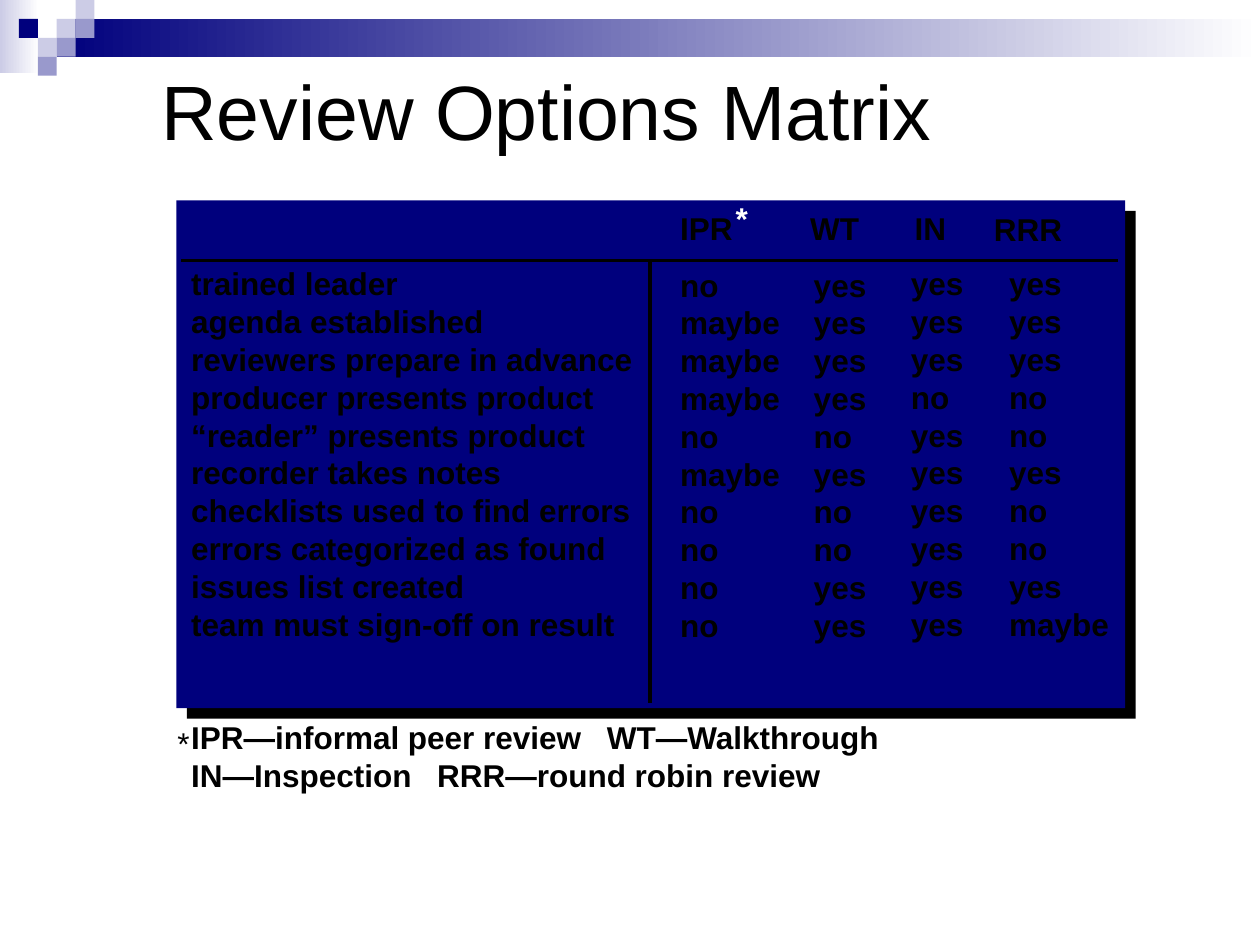
from dataclasses import dataclass

from lxml import etree
from pptx import Presentation
from pptx.dml.color import RGBColor
from pptx.enum.shapes import MSO_CONNECTOR, MSO_SHAPE
from pptx.enum.text import MSO_ANCHOR, MSO_AUTO_SIZE, PP_ALIGN
from pptx.oxml.ns import qn
from pptx.slide import Slide
from pptx.util import Pt

RECTANGLE = MSO_SHAPE.RECTANGLE
STRAIGHT = MSO_CONNECTOR.STRAIGHT
MIDDLE = MSO_ANCHOR.MIDDLE
LEFT = PP_ALIGN.LEFT
FIT_SHAPE = MSO_AUTO_SIZE.SHAPE_TO_FIT_TEXT

BLACK = RGBColor(0x00, 0x00, 0x00)
WHITE = RGBColor(0xFF, 0xFF, 0xFF)
NAVY = RGBColor(0x00, 0x00, 0x7D)
LAVENDER = RGBColor(0xCC, 0xCC, 0xE6)
PERIWINKLE = RGBColor(0x99, 0x99, 0xCC)

GRID = 10.8
LINE_PITCH = 21.6

CRITERIA = [
    "trained leader",
    "agenda established",
    "reviewers prepare in advance",
    "producer presents product",
    "“reader” presents product",
    "recorder takes notes",
    "checklists used to find errors",
    "errors categorized as found",
    "issues list created",
    "team must sign-off on result",
]
LEGEND = [
    ("IPR—informal peer review\tWT—Walkthrough", 237.6),
    ("IN—Inspection\tRRR—round robin review", 140.6),
]
REVIEWS = [
    ("IPR", (381.6, 115.9, 44.6), (381.6, 148.3, 71.3),
     "no maybe maybe maybe no maybe no no no no"),
    ("WT", (455.8, 115.9, 42.5), (457.9, 148.3, 44.6),
     "yes yes yes yes no yes no no yes yes"),
    ("IN", (515.5, 115.9, 32.4), (513.4, 147.6, 44.6),
     "yes yes yes no yes yes yes yes yes yes"),
    ("RRR", (560.9, 116.6, 53.3), (569.5, 147.6, 71.3),
     "yes yes yes no no yes no no yes maybe"),
]
SQUARES = [
    (3, 1, LAVENDER), (4, 0, LAVENDER), (4, 1, PERIWINKLE), (2, 2, LAVENDER),
    (1, 1, NAVY), (3, 2, PERIWINKLE), (2, 3, PERIWINKLE),
]


@dataclass
class MatrixSlide:
    slide: Slide
    font: str = "Arial"
    size: float = 18

    def add_run(self, paragraph, wording, size, color, bold):
        run = paragraph.add_run()
        run.text = wording
        run.font.name = self.font
        run.font.size = Pt(size)
        run.font.bold = bold
        run.font.color.rgb = color

    def title(self, wording, left, top, width, height):
        heading = self.slide.shapes.title
        heading.left, heading.top = Pt(left), Pt(top)
        heading.width, heading.height = Pt(width), Pt(height)
        frame = heading.text_frame
        frame.vertical_anchor = MIDDLE
        frame.paragraphs[0].alignment = LEFT
        self.add_run(frame.paragraphs[0], wording, 44, BLACK, False)

    def block(self, left, top, width, height, color, fade=False):
        block = self.slide.shapes.add_shape(
            RECTANGLE, Pt(left), Pt(top), Pt(width), Pt(height))
        block.shadow.inherit = False
        block.line.fill.background()
        if fade:
            block.fill.gradient()
            block.fill.gradient_angle = 0
            for stop, shade in zip(block.fill.gradient_stops, (color, WHITE)):
                stop.color.rgb = shade
        else:
            block.fill.solid()
            block.fill.fore_color.rgb = color
        return block

    def shadowed_panel(self, left, top, width, height, color):
        panel = self.block(left, top, width, height, color)
        effects = panel.element.spPr.find(qn("a:effectLst"))
        shadow = etree.SubElement(
            effects, qn("a:outerShdw"), dist=str(Pt(8.5)), dir="2700000",
            algn="ctr", rotWithShape="0")
        etree.SubElement(shadow, qn("a:srgbClr"), val=str(BLACK))

    def text(self, lines, left, top, width, color=BLACK, bold=True):
        box = self.slide.shapes.add_textbox(
            Pt(left), Pt(top), Pt(width), Pt(len(lines) * LINE_PITCH + 7.2))
        frame = box.text_frame
        frame.word_wrap = False
        frame.auto_size = FIT_SHAPE
        for index, wording in enumerate(lines):
            paragraph = frame.add_paragraph() if index else frame.paragraphs[0]
            paragraph.alignment = LEFT
            paragraph.line_spacing = Pt(LINE_PITCH)
            self.add_run(paragraph, wording, self.size, color, bold)
        return box

    def tab_stop(self, paragraph, position):
        stops = etree.SubElement(
            paragraph._p.get_or_add_pPr(), qn("a:tabLst"))
        etree.SubElement(stops, qn("a:tab"), pos=str(Pt(position)), algn="l")

    def rule(self, x1, y1, x2, y2):
        rule = self.slide.shapes.add_connector(
            STRAIGHT, Pt(x1), Pt(y1), Pt(x2), Pt(y2))
        rule.line.color.rgb = BLACK
        rule.line.width = Pt(2)
        etree.SubElement(rule.element.spPr, qn("a:effectLst"))


def main():
    deck = Presentation()
    deck.slide_width, deck.slide_height = Pt(720), Pt(540)
    matrix = MatrixSlide(deck.slides.add_slide(deck.slide_layouts[5]))

    matrix.block(0, 0, 22.3, 41.8, LAVENDER, fade=True)
    matrix.block(3 * GRID, GRID, 720 - 3 * GRID, 2 * GRID, NAVY, fade=True)
    for column, row, color in SQUARES:
        matrix.block(column * GRID, row * GRID, GRID, GRID, color)

    matrix.shadowed_panel(100.8, 114.5, 542.2, 290.2, NAVY)
    matrix.title("Review Options Matrix", 85, 12.2, 563.8, 101.5)

    legend_lines = [wording for wording, _ in LEGEND]
    criteria = matrix.text(CRITERIA + legend_lines, 102.2, 147.6, 408.2)
    criteria.height = Pt(309.6)
    legend = criteria.text_frame.paragraphs[len(CRITERIA):]
    legend[0].space_before = Pt(2 * LINE_PITCH)
    for paragraph, (_, position) in zip(legend, LEGEND):
        matrix.tab_stop(paragraph, position)

    for review, heading_place, answers_place, answers in REVIEWS:
        matrix.text([review], *heading_place)
        matrix.text(answers.split(), *answers_place)

    matrix.text(["*"], 413.3, 110.2, 21.6, color=WHITE)
    matrix.text(["*"], 94.3, 410.4, 21.6, bold=False)

    matrix.rule(103.7, 149, 638.6, 149)
    matrix.rule(371.5, 149, 371.5, 401.8)

    deck.save("out.pptx")


if __name__ == "__main__":
    main()
